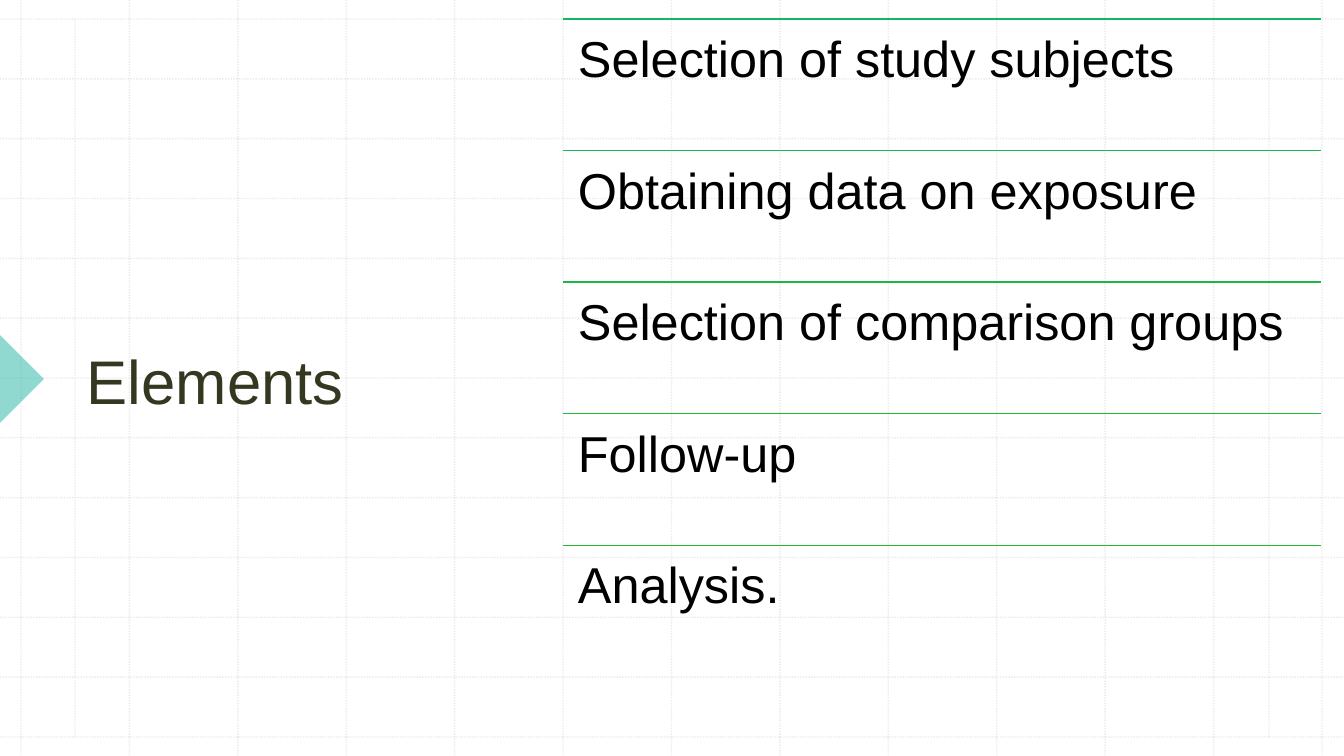
"""Build the study elements slide: dotted grid, title and ruled list."""
from pptx import Presentation
from pptx.dml.color import RGBColor
from pptx.enum.dml import MSO_LINE
from pptx.enum.shapes import MSO_CONNECTOR, MSO_SHAPE
from pptx.enum.text import MSO_ANCHOR
from pptx.oxml.ns import qn
from pptx.util import Pt
from lxml import etree

TITLE = "Elements"
ELEMENTS = [
    ("Selection of study subjects", "14B760"),
    ("Obtaining data on exposure", "17B851"),
    ("Selection of comparison groups", "1AB843"),
    ("Follow-up", "1EB935"),
    ("Analysis.", "21B928"),
]
TITLE_FONT = {"name": "Arial", "size": Pt(44)}
ROW_FONT = {"name": "Arial", "size": Pt(36)}
ROW_PARAGRAPH = {"line_spacing": 0.9, "space_after": Pt(12.6)}
GRID_COLOR, GRID_ALPHA = "BCBCBC", 30
WIDTH, HEIGHT = 1344, 756
GRID_LEFT, GRID_RIGHT, GRID_TOP, GRID_BOTTOM = 21, 1322, 19, 737
GRID_STEPS = 12
MARGIN_LINES = (75, 1269)
LIST_LEFT, LIST_TOP, LIST_WIDTH, LIST_HEIGHT = 563, 19, 758, 658


def px(n):
    return round(n * 914400 / 100.8)


def rgb(color):
    return RGBColor.from_string(color)


def set_alpha(fill_parent, percent):
    color = fill_parent.find(".//" + qn("a:srgbClr"))
    etree.SubElement(color, qn("a:alpha"), val=str(percent * 1000))


def add_line(s, x1, y1, x2, y2, color):
    line = s.shapes.add_connector(MSO_CONNECTOR.STRAIGHT, px(x1), px(y1), px(x2), px(y2))
    line.line.color.rgb = rgb(color)
    line.line.width = Pt(1)
    etree.SubElement(line._element.spPr, qn("a:effectLst"))
    return line


def add_grid_line(s, *ends):
    line = add_line(s, *ends, GRID_COLOR)
    line.line.dash_style = MSO_LINE.ROUND_DOT
    set_alpha(line._element.spPr, GRID_ALPHA)


def add_grid(s):
    for i in range(GRID_STEPS + 1):
        x = GRID_LEFT + i * (GRID_RIGHT - GRID_LEFT) / GRID_STEPS
        y = GRID_TOP + i * (GRID_BOTTOM - GRID_TOP) / GRID_STEPS
        add_grid_line(s, x, 0, x, HEIGHT)
        add_grid_line(s, 0, y, WIDTH, y)
    for x in MARGIN_LINES:
        add_grid_line(s, x, GRID_TOP, x, GRID_BOTTOM)


def add_marker(s):
    sp = s.shapes.add_shape(MSO_SHAPE.RIGHT_TRIANGLE, px(-31), px(348), px(62), px(62))
    sp.rotation = 225
    sp.shadow.inherit = False
    sp.fill.solid()
    sp.fill.fore_color.rgb = rgb("20B4A2")
    sp.line.fill.background()
    set_alpha(sp._element.spPr, 50)


def add_text(s, text, box, font, color, frame, paragraph):
    tf = s.shapes.add_textbox(*map(px, box)).text_frame
    p = tf.paragraphs[0]
    r = p.add_run()
    r.text = text
    r.font.color.rgb = rgb(color)
    for target, values in ((tf, frame), (p, paragraph), (r.font, font)):
        for key, value in values.items():
            setattr(target, key, value)


def add_list(s):
    sides = ("left", "top", "right", "bottom")
    frame = {"word_wrap": True, **{f"margin_{side}": px(15) for side in sides}}
    pitch = LIST_HEIGHT / len(ELEMENTS)
    for i, (text, color) in enumerate(ELEMENTS):
        y = LIST_TOP + i * pitch
        add_line(s, LIST_LEFT, y, LIST_LEFT + LIST_WIDTH, y, color)
        box = (LIST_LEFT, y, LIST_WIDTH, pitch)
        add_text(s, text, box, ROW_FONT, "000000", frame, ROW_PARAGRAPH)


def main():
    prs = Presentation()
    prs.slide_width, prs.slide_height = px(WIDTH), px(HEIGHT)
    s = prs.slides.add_slide(prs.slide_layouts[6])
    add_grid(s)
    add_marker(s)
    title_frame = {"word_wrap": True, "vertical_anchor": MSO_ANCHOR.MIDDLE}
    add_text(s, TITLE, (77, 80, 378, 600), TITLE_FONT, "333820", title_frame, {})
    add_list(s)
    prs.save("out.pptx")


if __name__ == "__main__":
    main()
